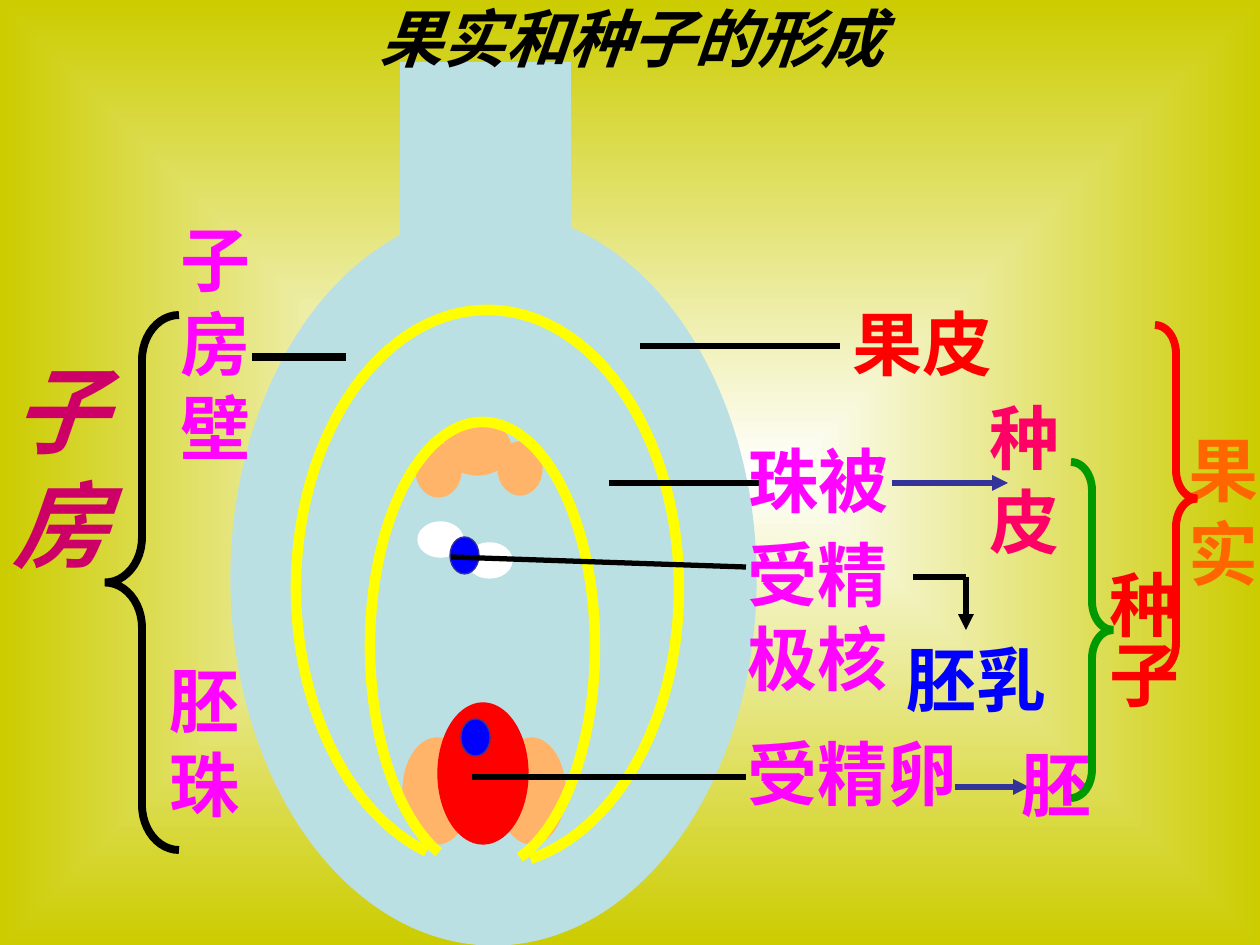
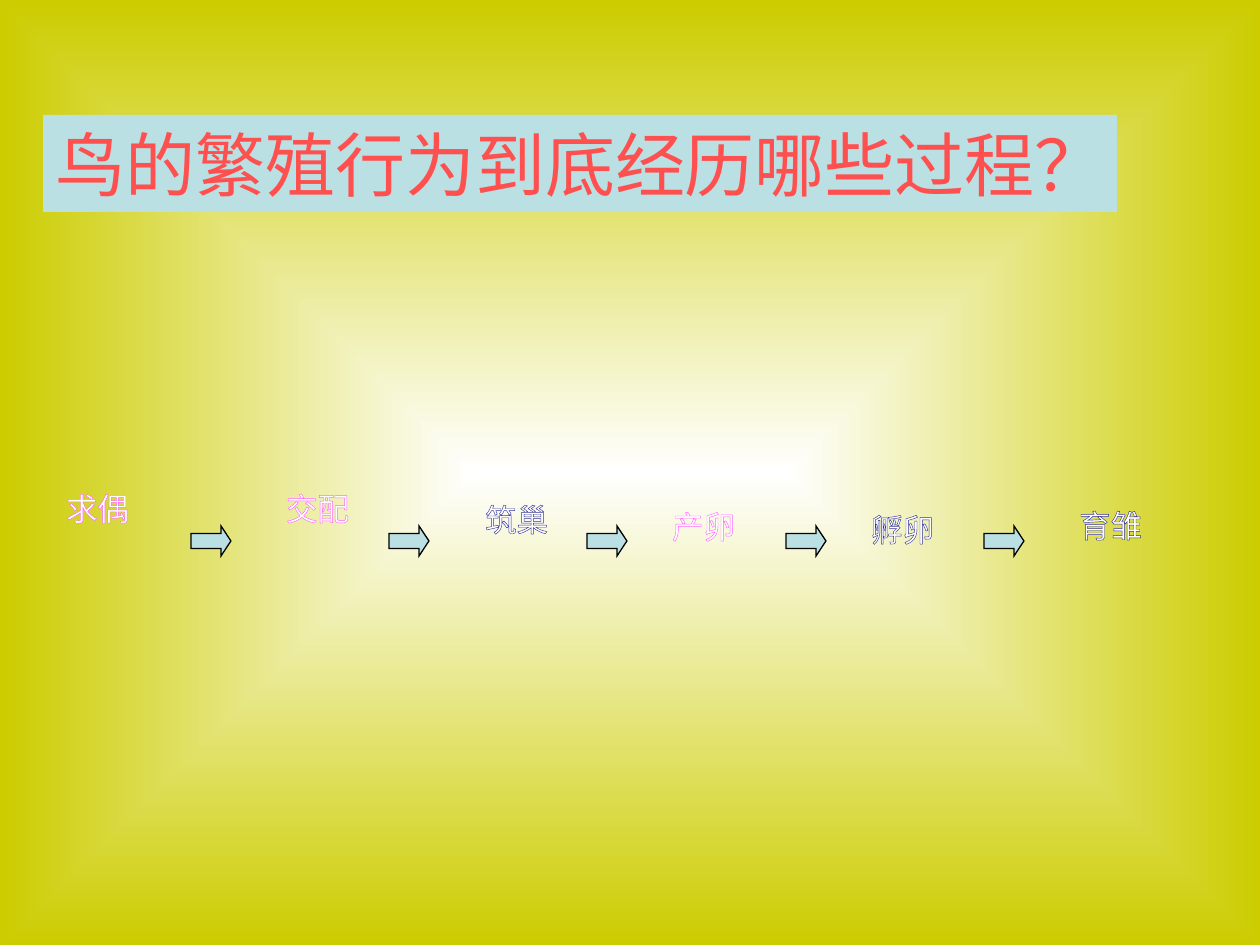
from lxml import etree
from pptx import Presentation
from pptx import util as u
from pptx.dml.color import RGBColor
from pptx.enum import shapes, text
from pptx.oxml.ns import qn

SCALE = 914400 / 126
HUES = {
    "white": "FFFFFF", "olive": "CCCC00", "pale": "BBE0E3", "peach": "FFB469",
    "yellow": "FFFF00", "red": "FF0000", "blue": "0000FF", "navy": "333399",
    "black": "000000", "wine": "CC0066", "pink": "FF05FF", "rose": "FF0066",
    "orange": "FF6600", "green": "009900", "coral": "FF5050", "lilac": "FF66FF",
}
SERIF, SANS = "Times New Roman", "Noto Sans CJK SC"
SHAPE = shapes.MSO_SHAPE
ALIGN = text.PP_ALIGN


def px(*nums):
    """Turn px lengths into EMU."""
    return [round(n * SCALE) for n in nums]


def hue(name):
    """Look up a colour by name."""
    return RGBColor.from_string(HUES[name])


def node(parent, tag, **attrs):
    """Append an XML child."""
    return etree.SubElement(parent, qn(tag), attrs)


def ground(master):
    """Give every slide the glow that fades outwards to olive."""
    fill = master.background.fill
    fill.gradient()
    for stop, name in zip(fill.gradient_stops, ("white", "olive")):
        stop.color.rgb = hue(name)
    lin = next(master.element.iter(qn("a:lin")))
    grad = lin.getparent()
    grad.remove(lin)
    path = node(grad, "a:path", path="rect")
    node(path, "a:fillToRect", l="50000", t="50000", r="50000", b="50000")


def write(box, words, size=40, color="pink", face=SERIF, bold=True, slant=False,
          align=ALIGN.LEFT, anchor=text.MSO_ANCHOR.TOP, wrap=True, edge=None):
    """Put formatted words in a shape."""
    frame = box.text_frame
    frame.word_wrap, frame.auto_size = wrap, text.MSO_AUTO_SIZE.NONE
    frame.vertical_anchor = anchor
    para = frame.paragraphs[0]
    para.alignment = align
    run = para.add_run()
    run.text = words
    font = run.font
    font.name, font.size = face, u.Pt(size)
    font.bold, font.italic = bold, slant
    font.color.rgb = hue(color)
    props = run._r.get_or_add_rPr()
    node(props, "a:ea", typeface=SANS)
    if edge:
        line = node(props, "a:ln", w=str(u.Pt(1.5)))
        node(node(line, "a:solidFill"), "a:srgbClr", val=HUES[edge])
        props.insert(0, line)


def label(slide, x, y, w, h, words, **fmt):
    """Add a text box."""
    box = slide.shapes.add_textbox(*px(x, y, w, h))
    write(box, words, **fmt)
    return box


def head(slide, x, y, w, h, words, **fmt):
    """Place the title in front of the other shapes."""
    box = slide.shapes.title
    box.left, box.top, box.width, box.height = px(x, y, w, h)
    write(box, words, anchor=text.MSO_ANCHOR.MIDDLE, **fmt)
    box.element.getparent().append(box.element)
    return box


def form(slide, kind, x, y, w, h, fill, line, width=0.75, adjust=()):
    """Add a preset shape; no fill when its name is None."""
    part = slide.shapes.add_shape(kind, *px(x, y, w, h))
    for i, value in enumerate(adjust):
        part.adjustments[i] = value
    part.shadow.inherit = False
    if fill:
        part.fill.solid()
        part.fill.fore_color.rgb = hue(fill)
    else:
        part.fill.background()
    part.line.color.rgb = hue(line)
    part.line.width = u.Pt(width)
    node(part.line._get_or_add_ln(), "a:miter", lim="800000")


def link(slide, x1, y1, x2, y2, color="black", width=3, tip=False):
    """Add a straight line, with an arrowhead when tip is set."""
    line = slide.shapes.add_connector(shapes.MSO_CONNECTOR.STRAIGHT,
                                      *px(x1, y1, x2, y2))
    line.line.color.rgb = hue(color)
    line.line.width = u.Pt(width)
    if tip:
        node(line.line._get_or_add_ln(), "a:tailEnd", type="triangle")
    node(line._element.spPr, "a:effectLst")


def coat(slide, x, y, w, h, start, end):
    """Draw an open elliptic wall between two angles in degrees."""
    form(slide, SHAPE.ARC, x, y, w, h, None, "yellow", 6,
         (start * 0.6, end * 0.6))


def ovary(slide, x, y):
    """Draw the ovary with its ovule and cells."""
    def cells(*rows):
        for left, top, w, h, fill, *line in rows:
            form(slide, SHAPE.OVAL, x + left, y + top, w, h, fill,
                 line[0] if line else fill)

    cells((0, 149, 525, 733, "pale"))
    form(slide, SHAPE.RECTANGLE, x + 170, y, 169, 334, "pale", "pale")
    cells((213, 359, 67, 53, "peach"), (185, 381, 45, 53, "peach"),
          (267, 379, 44, 53, "peach"), (267, 675, 67, 106, "peach"))
    coat(slide, x + 65, y + 247, 383, 556, 103, 81)
    cells((172, 675, 68, 106, "peach"))
    coat(slide, x + 139, y + 359, 225, 448, 102, 80)
    cells((207, 640, 90, 141, "red"),
          (187, 459, 45, 35, "white"), (236, 480, 45, 35, "white"),
          (219, 474, 29, 37, "blue", "navy"), (230, 656, 29, 37, "blue", "navy"))


def parts(slide, x, y):
    """Name the parts of the ovary on the left."""
    label(slide, x, y + 136, 174, 239, "子房", size=54, color="wine", slant=True)
    form(slide, SHAPE.LEFT_BRACE, x + 105, y + 105, 74, 535, None, "black", 4.5,
         (0.61, 0.5))
    link(slide, x + 252, y + 147, x + 346, y + 147, width=4.5)
    label(slide, x + 168, y, 136, 265, "子房壁")
    label(slide, x + 157, y + 441, 116, 181, "胚珠")


def fruit(slide, x, y):
    """Show on the right what each part turns into."""
    for x1, y1, x2, y2, *rest in (
            (190, 56, 390, 56), (159, 193, 316, 193), (1, 267, 296, 277),
            (22, 487, 296, 487), (463, 287, 516, 287),
            (516, 287, 516, 340, "black", 3, True),
            (442, 193, 558, 193, "navy", 3, True),
            (505, 497, 579, 497, "navy", 3, True)):
        link(slide, x + x1, y + y1, x + x2, y + y2, *rest)
    for left, top, w, h, words, color, wrap in (
            (390, 4, 168, 97, "果皮", "red", True),
            (286, 141, 165, 97, "珠被", "pink", False),
            (527, 98, 95, 181, "种皮", "rose", True),
            (444, 340, 165, 97, "胚乳", "blue", False),
            (285, 235, 210, 181, "受精极核", "pink", True),
            (559, 445, 95, 97, "胚", "pink", False),
            (285, 434, 242, 97, "受精卵", "pink", True),
            (726, 130, 84, 181, "果实", "orange", True)):
        label(slide, x + left, y + top, w, h, words, color=color, wrap=wrap)
    for left, top, h, color in ((621, 172, 336, "green"), (705, 35, 347, "red")):
        form(slide, SHAPE.RIGHT_BRACE, x + left, y + top, 42, h, None, color, 4.5,
             (0.68, 0.5))
    seed = label(slide, x + 632, y + 267, 108, 168, "种子", color="red")
    frame = seed.text_frame
    frame.margin_left = frame.margin_right = u.Inches(0.05)
    frame.margin_top = frame.margin_bottom = u.Inches(0.1)
    frame._txBody.bodyPr.set("vert", "eaVert")


def steps(slide, x, y):
    """Lay out the breeding steps with arrows between them."""
    for i in range(5):
        form(slide, SHAPE.RIGHT_ARROW, x + 159 + 992 * i // 5, y + 43, 40, 30,
             "pale", "black", adjust=(0.5, 0.33))
    for left, top, words, edge in (
            (0, 0, "求偶", "lilac"), (220, 0, "交配", "lilac"),
            (419, 11, "筑巢", "navy"), (606, 18, "产卵", "lilac"),
            (805, 21, "孵卵", "navy"), (1013, 17, "育雏", "navy")):
        label(slide, x + left, y + top, 131, 98, words, size=18, color="white",
              face=SANS, bold=False, align=ALIGN.CENTER, wrap=False, edge=edge)


def main():
    """Build both slides."""
    deck = Presentation()
    deck.slide_width, deck.slide_height = px(1260, 945)
    ground(deck.slide_master)
    plain = deck.slide_layouts[5]

    seed = deck.slides.add_slide(plain)
    ovary(seed, 231, 63)
    parts(seed, 0, 210)
    fruit(seed, 450, 290)
    name = head(seed, 210, 32, 1050, 43, "果实和种子的形成", size=36,
                color="black", slant=True)
    frame = name.text_frame
    frame.margin_left, frame.margin_top, frame.margin_bottom = px(170, 0, 33)

    bird = deck.slides.add_slide(plain)
    steps(bird, 32, 483)
    bar = head(bird, 43, 115, 1074, 97, "鸟的繁殖行为到底经历哪些过程？",
               color="coral", bold=False, wrap=False)
    bar.fill.solid()
    bar.fill.fore_color.rgb = hue("pale")
    deck.save("out.pptx")


if __name__ == "__main__":
    main()
